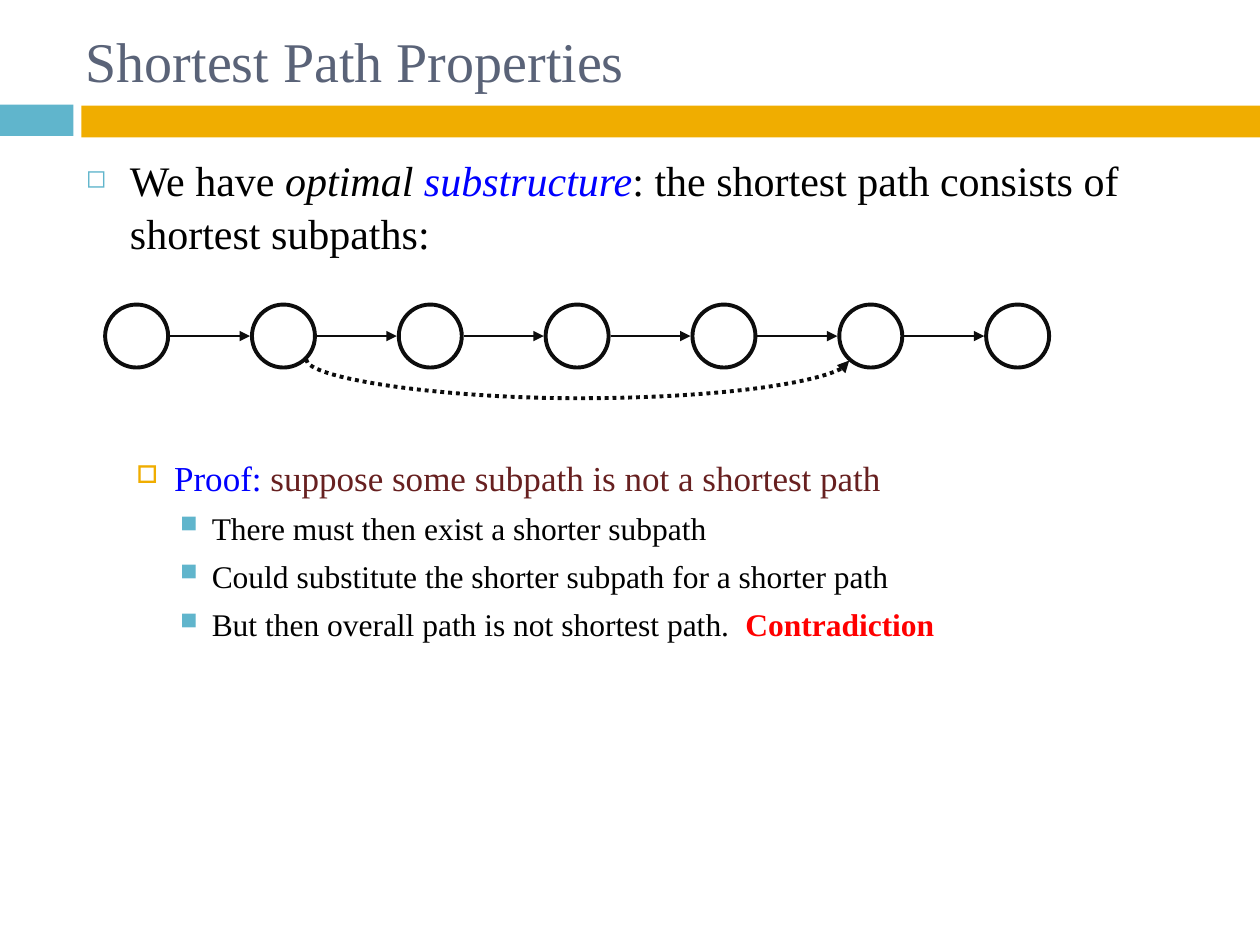
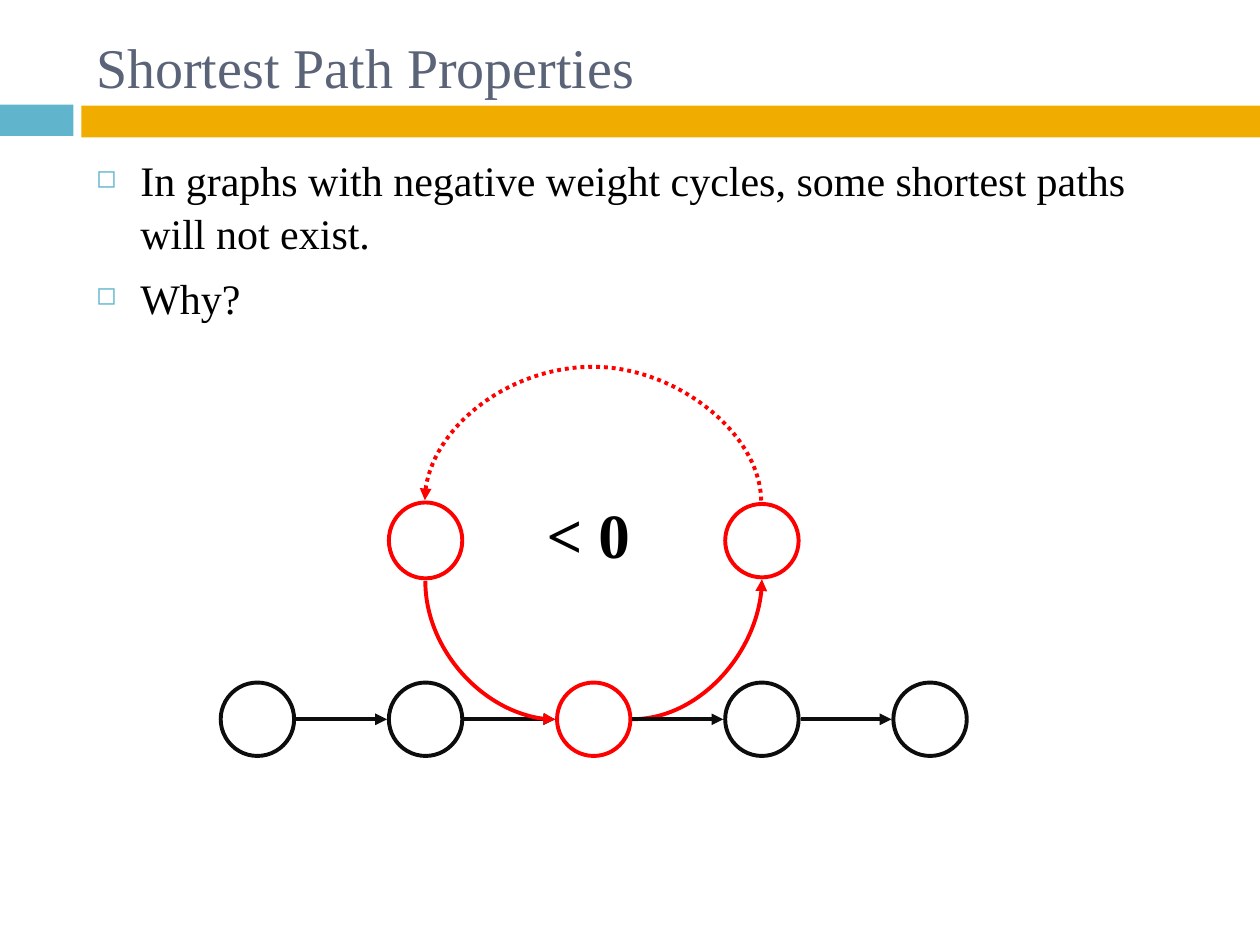
from dataclasses import dataclass
from typing import NamedTuple

from lxml import etree
from pptx import Presentation
from pptx.dml.color import RGBColor
from pptx.enum.dml import MSO_LINE
from pptx.enum.shapes import MSO_CONNECTOR, MSO_SHAPE
from pptx.enum.text import MSO_ANCHOR, PP_ALIGN
from pptx.oxml.ns import qn
from pptx.util import Cm, Pt

RECT, OVAL = MSO_SHAPE.RECTANGLE, MSO_SHAPE.OVAL
STRAIGHT, CURVE = MSO_CONNECTOR.STRAIGHT, MSO_CONNECTOR.CURVE
DOTS = MSO_LINE.ROUND_DOT
MIDDLE, CENTER = MSO_ANCHOR.MIDDLE, PP_ALIGN.CENTER


@dataclass(frozen=True)
class Theme:
    font: str = "Times New Roman"
    slate: str = "5A6378"
    teal: str = "60B5CC"
    gold: str = "F0AD00"
    text: str = "000000"
    ink: str = "0D0D0D"
    white: str = "FFFFFF"
    red: str = "FF0000"
    blue: str = "0000FF"
    wine: str = "672020"
    title: int = 32
    sign: int = 36
    leading: float = 1.04
    thin: float = 1.5
    thick: float = 2.25


THEME = Theme()


class Box(NamedTuple):
    left: float
    top: float
    wide: float
    high: float


class Level(NamedTuple):
    size: int
    margin: float
    hang: float
    before: float
    mark: str
    color: str
    scale: int


LEVELS = (
    Level(24, 0.89, 0.89, 7, "◻", THEME.teal, 60),
    Level(20, 1.78, 0.76, 5.5, "□", THEME.gold, 70),
    Level(18, 2.54, 0.64, 5, "■", THEME.teal, 75),
)


class Piece(NamedTuple):
    text: str
    color: str = THEME.text
    bold: bool = False
    italic: bool = False


@dataclass(frozen=True)
class Item:
    level: int
    pieces: tuple[Piece, ...]
    gap: float = 0  # extra points above


@dataclass(frozen=True)
class Row:
    """Equally spaced circles joined by arrows."""
    left: float
    top: float
    size: float
    pitch: float
    count: int
    weight: float
    hot: int = -1


@dataclass(frozen=True)
class Bend:
    """A curved arrow: its box before turning, then its turn and bulge."""
    box: Box
    color: str
    turn: int = 0
    flip: str = ""
    bulge: float = 0
    dots: bool = False
    end: str = "tailEnd"


def rgb(code: str) -> RGBColor:
    return RGBColor.from_string(code)


def add_band(slide, box: Box, color: str) -> None:
    band = slide.shapes.add_shape(RECT, *map(Cm, box))
    band.shadow.inherit = False
    band.fill.solid()
    band.fill.fore_color.rgb = rgb(color)
    band.line.fill.background()


def add_text(slide, box: Box, wrap: bool = True):
    frame = slide.shapes.add_textbox(*map(Cm, box)).text_frame
    frame.word_wrap = wrap
    return frame


def set_font(para, size: int, color: str, bold: bool = False) -> None:
    font = para.font
    font.name, font.size, font.bold = THEME.font, Pt(size), bold
    font.color.rgb = rgb(color)


def start_slide(deck, title: str, box: Box):
    """Add a blank slide with the two bands and a title."""
    slide = deck.slides.add_slide(deck.slide_layouts[6])
    add_band(slide, Box(0, 2.11, 1.48, 0.63), THEME.teal)
    add_band(slide, Box(1.64, 2.13, 23.76, 0.64), THEME.gold)
    frame = add_text(slide, box)
    frame.vertical_anchor = MIDDLE
    para = frame.paragraphs[0]
    para.text = title
    set_font(para, THEME.title, THEME.slate)
    return slide


def add_mark(para, level: Level) -> None:
    props = para._p.get_or_add_pPr()
    props.set("marL", str(Cm(level.margin)))
    props.set("indent", str(-Cm(level.hang)))
    tint = etree.SubElement(props, qn("a:buClr"))
    etree.SubElement(tint, qn("a:srgbClr"), val=level.color)
    etree.SubElement(props, qn("a:buSzPct"), val=str(level.scale * 1000))
    etree.SubElement(props, qn("a:buChar"), char=level.mark)


def add_body(slide, box: Box, items: list[Item]) -> None:
    frame = add_text(slide, box)
    for i, item in enumerate(items):
        para = frame.add_paragraph() if i else frame.paragraphs[0]
        level = LEVELS[item.level]
        para.line_spacing = THEME.leading
        para.space_before = Pt(level.before + item.gap if i else 0)
        add_mark(para, level)
        set_font(para, level.size, THEME.text)
        for piece in item.pieces:
            run = para.add_run()
            run.text = piece.text
            if piece.color != THEME.text:
                run.font.color.rgb = rgb(piece.color)
            if piece.bold:
                run.font.bold = True
            if piece.italic:
                run.font.italic = True


def add_ring(slide, box: Box, color: str) -> None:
    ring = slide.shapes.add_shape(OVAL, *map(Cm, box))
    ring.shadow.inherit = False
    ring.fill.solid()
    ring.fill.fore_color.rgb = rgb(THEME.white)
    ring.line.color.rgb = rgb(color)
    ring.line.width = Pt(THEME.thick)


def style_line(link, color: str, weight: float, end: str = "tailEnd",
               dots: bool = False) -> None:
    link.line.color.rgb = rgb(color)
    link.line.width = Pt(weight)
    if dots:
        link.line.dash_style = DOTS
    props = link._element.spPr
    etree.SubElement(props.find(qn("a:ln")), qn(f"a:{end}"), type="triangle")
    etree.SubElement(props, qn("a:effectLst"))


def add_rings(slide, row: Row) -> None:
    for i in range(row.count):
        box = Box(row.left + i * row.pitch, row.top, row.size, row.size)
        add_ring(slide, box, THEME.red if i == row.hot else THEME.ink)


def add_arrows(slide, row: Row) -> None:
    gap, y = 0.04, Cm(row.top + row.size / 2)
    for i in range(row.count - 1):
        left = row.left + i * row.pitch
        link = slide.shapes.add_connector(
            STRAIGHT, Cm(left + row.size + gap), y,
            Cm(left + row.pitch - gap), y)
        style_line(link, THEME.ink, row.weight)


def add_bend(slide, bend: Bend) -> None:
    x, y, wide, high = bend.box
    xs, ys = [Cm(x), Cm(x + wide)], [Cm(y), Cm(y + high)]
    if bend.flip == "h":
        xs.reverse()
    if bend.flip == "v":
        ys.reverse()
    link = slide.shapes.add_connector(CURVE, xs[0], ys[0], xs[1], ys[1])
    props = link._element.spPr
    if bend.turn:
        props.find(qn("a:xfrm")).set("rot", str(bend.turn * 60000))
    shape = props.find(qn("a:prstGeom"))
    if bend.bulge:
        ratio = round(bend.bulge / wide * 100000)
        etree.SubElement(shape.find(qn("a:avLst")), qn("a:gd"),
                         name="adj1", fmla=f"val {ratio}")
    else:
        shape.set("prst", "curvedConnector2")
    style_line(link, bend.color, THEME.thick, bend.end, bend.dots)


def build_proof(deck) -> None:
    slide = start_slide(deck, "Shortest Path Properties",
                        Box(1.48, 0.42, 22.66, 1.6))
    add_body(slide, Box(1.48, 2.96, 22.86, 13.97), [
        Item(0, (Piece("We have "), Piece("optimal ", italic=True),
                 Piece("substructure", THEME.blue, italic=True),
                 Piece(": the shortest path consists of shortest subpaths:"))),
        Item(1, (Piece("Proof:", THEME.blue),
                 Piece(" suppose some subpath is not a shortest path",
                       THEME.wine)), gap=107),
        Item(2, (Piece("There must then exist a shorter subpath"),)),
        Item(2, (Piece("Could substitute the shorter subpath "
                       "for a shorter path"),)),
        Item(2, (Piece("But then overall path is not shortest path.  "),
                 Piece("Contradiction", THEME.red, bold=True))),
    ])
    row = Row(2.12, 6.14, 1.27, 2.96, 7, THEME.thin)
    add_rings(slide, row)
    add_arrows(slide, row)
    add_bend(slide, Bend(Box(11.63, 1.78, 0.03, 10.95), THEME.ink, 270, "h",
                         0.79, True))


def build_cycle(deck) -> None:
    slide = start_slide(deck, "Shortest Path Properties",
                        Box(1.69, 0.64, 22.66, 1.37))
    add_body(slide, Box(1.69, 2.96, 22.66, 13.97), [
        Item(0, (Piece("In graphs with negative weight cycles, "
                       "some shortest paths will not exist."),)),
        Item(0, (Piece("Why?"),)),
    ])
    row = Row(4.45, 13.76, 1.48, 3.39, 5, THEME.thick, hot=2)
    add_rings(slide, row)
    add_ring(slide, Box(row.left + 3 * row.pitch, 10.16, 1.48, 1.48),
             THEME.red)
    add_bend(slide, Bend(Box(12.75, 11.68, 2.61, 2.82), THEME.red, flip="v"))
    add_arrows(slide, row)
    add_ring(slide, Box(row.left + row.pitch, 10.13, 1.48, 1.53), THEME.red)
    add_bend(slide, Bend(Box(8.49, 11.8, 2.79, 2.62), THEME.red, 270, "h"))
    add_bend(slide, Bend(Box(11.94, 6.71, 0.03, 6.78), THEME.red, 90, "v",
                         -2.69, True, "headEnd"))
    para = add_text(slide, Box(10.77, 9.86, 2.18, 1.78), False).paragraphs[0]
    para.text = "< 0"
    para.alignment = CENTER
    set_font(para, THEME.sign, THEME.text, True)


def main() -> None:
    deck = Presentation()
    deck.slide_width, deck.slide_height = Cm(25.4), Cm(19.05)
    build_proof(deck)
    build_cycle(deck)
    deck.save("out.pptx")


if __name__ == "__main__":
    main()
